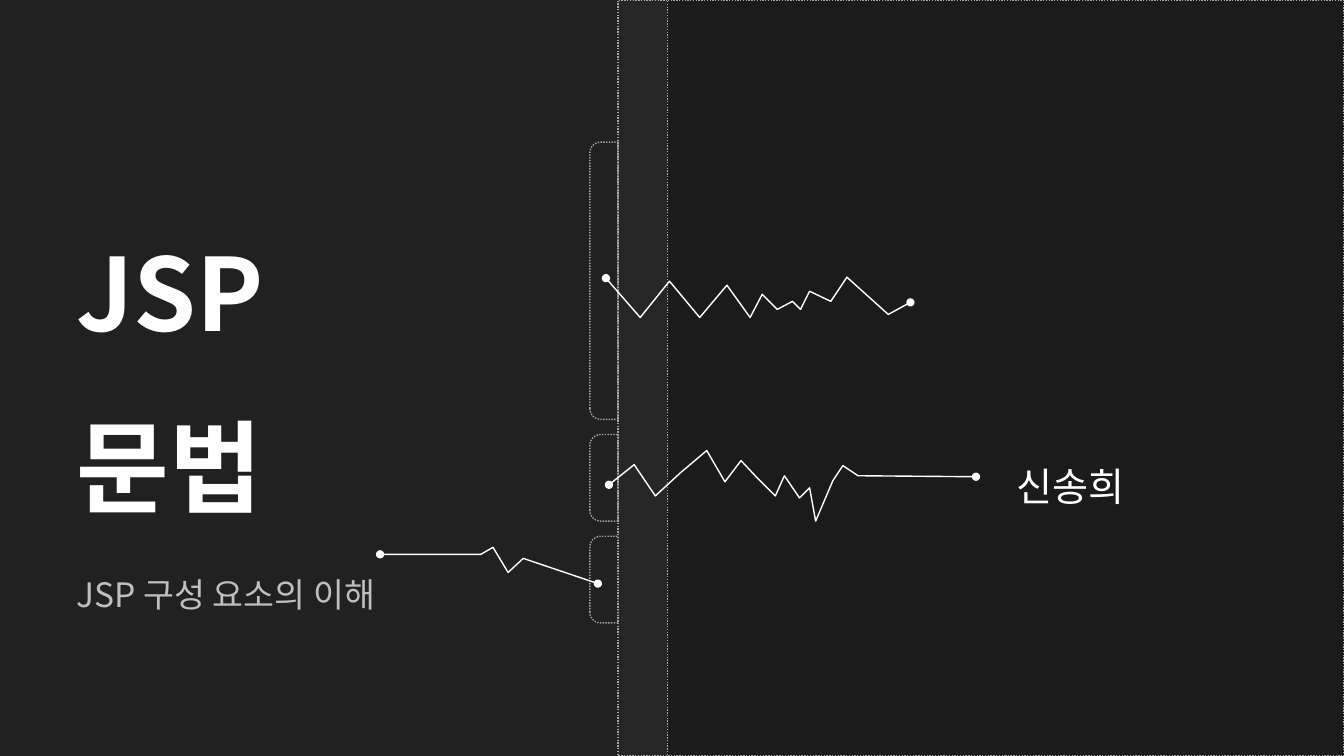
from typing import NamedTuple

from lxml.etree import SubElement
from pptx import Presentation
from pptx.dml.color import RGBColor
from pptx.enum.dml import MSO_LINE
from pptx.enum.shapes import MSO_SHAPE
from pptx.enum.text import MSO_ANCHOR, MSO_AUTO_SIZE, PP_ALIGN
from pptx.oxml.ns import qn
from pptx.util import Emu, Inches, Pt

# One grid column or row is one inch.
COLUMNS, ROWS = 13.33, 7.5
SPINE_LEFT, COVER_LEFT = 6.13, 6.62
TAB_WIDTH, TAB_GAP, TAB_TOP = 0.28, 0.15, 1.41
TAB_HEIGHTS = (2.75, 0.86, 0.86)

FONT = "Noto Sans CJK KR"
BACKDROP = RGBColor(0x21, 0x21, 0x21)
SPINE = RGBColor(0x26, 0x26, 0x26)
COVER = RGBColor(0x1B, 0x1B, 0x1B)
OUTLINE = RGBColor(0xA6, 0xA6, 0xA6)
WHITE = RGBColor(0xFF, 0xFF, 0xFF)
SOFT_GREY = RGBColor(0xBF, 0xBF, 0xBF)


class Panel(NamedTuple):
    """A full-height panel running to the right edge."""
    left: float
    color: RGBColor


class Style(NamedTuple):
    """The look of one paragraph; sizes and spacing in points."""
    size: float
    color: RGBColor
    bold: bool
    line: float
    before: float = 0


PANELS = {"spine": Panel(SPINE_LEFT, SPINE), "cover": Panel(COVER_LEFT, COVER)}
TITLE_STYLE = Style(72, WHITE, True, 124)
SUBTITLE_STYLE = Style(24, SOFT_GREY, False, 41, 22)
AUTHOR_STYLE = Style(28, WHITE, False, 50)

UPPER_PULSE = (
    (6.01, 2.76), (6.35, 3.15), (6.64, 2.79), (6.94, 3.15), (7.21, 2.83),
    (7.44, 3.15), (7.56, 2.92), (7.71, 3.07), (7.86, 2.99), (7.94, 3.07),
    (8.03, 2.89), (8.24, 2.99), (8.4, 2.75), (8.81, 3.12), (9.03, 3),
)
AUTHOR_PULSE = (
    (6.04, 4.81), (6.29, 4.61), (6.5, 4.92), (6.75, 4.69), (7.01, 4.47),
    (7.19, 4.78), (7.35, 4.57), (7.5, 4.73), (7.69, 4.92), (7.78, 4.72),
    (7.93, 4.94), (8.03, 4.84), (8.09, 5.17), (8.26, 4.77), (8.36, 4.62),
    (8.51, 4.72), (9.68, 4.73),
)
SUBTITLE_PULSE = (
    (3.77, 5.5), (4.77, 5.5), (4.89, 5.43), (5.04, 5.68), (5.19, 5.54),
    (5.93, 5.79),
)


def place(shape, left: float, top: float, width: float, height: float) -> None:
    """Move and size a shape on the grid."""
    shape.left, shape.top = Inches(left), Inches(top)
    shape.width, shape.height = Inches(width), Inches(height)


def outline(shape, color: RGBColor) -> None:
    """Give a shape a one-point line and no shadow."""
    shape.shadow.inherit = False
    shape.line.color.rgb = color
    shape.line.width = Pt(1)


def draw_panel(slide, panel: Panel) -> None:
    """Draw a dotted panel from its left edge to the slide's right edge."""
    rect = slide.shapes.add_shape(MSO_SHAPE.RECTANGLE, 0, 0, 0, 0)
    place(rect, panel.left, 0, COLUMNS - panel.left, ROWS)
    rect.fill.solid()
    rect.fill.fore_color.rgb = panel.color
    outline(rect, OUTLINE)
    rect.line.dash_style = MSO_LINE.ROUND_DOT


def draw_tab(slide, top: float, height: float) -> None:
    """Draw an index tab turned to the left of the spine."""
    tab = slide.shapes.add_shape(MSO_SHAPE.ROUND_2_SAME_RECTANGLE, 0, 0, 0, 0)
    center_x, center_y = SPINE_LEFT - TAB_WIDTH / 2, top + height / 2
    place(tab, center_x - height / 2, center_y - TAB_WIDTH / 2, height, TAB_WIDTH)
    tab.rotation = 270
    tab.adjustments[0] = 0.385
    tab.adjustments[1] = 0
    tab.fill.background()
    outline(tab, OUTLINE)
    tab.line.dash_style = MSO_LINE.ROUND_DOT


def draw_pulse(slide, points: tuple) -> None:
    """Draw an open zigzag with a dot at each end."""
    start, *others = [(Inches(x), Inches(y)) for x, y in points]
    builder = slide.shapes.build_freeform(*start)
    builder.add_line_segments(others, close=False)
    pulse = builder.convert_to_shape(Emu(0), Emu(0))
    pulse.fill.background()
    outline(pulse, WHITE)
    line = pulse.line._get_or_add_ln()
    for end in ("a:headEnd", "a:tailEnd"):
        SubElement(line, qn(end), type="oval")


def style_paragraph(paragraph, style: Style) -> None:
    """Apply spacing and Latin and East Asian fonts to a paragraph."""
    paragraph.alignment = PP_ALIGN.LEFT
    paragraph.line_spacing = Pt(style.line)
    paragraph.space_before = Pt(style.before)
    for run in paragraph.runs:
        run.font.name = FONT
        run.font.size = Pt(style.size)
        run.font.bold = style.bold
        run.font.color.rgb = style.color
        SubElement(run.font._element, qn("a:ea"), typeface=FONT)


def write_title(slide) -> None:
    """Fill the title placeholder with the heading and its subtitle."""
    title = slide.shapes.title
    place(title, 0.66, 1.23, 4.3, 3.2)
    frame = title.text_frame
    frame.word_wrap = True
    frame.auto_size = MSO_AUTO_SIZE.SHAPE_TO_FIT_TEXT
    frame.vertical_anchor = MSO_ANCHOR.TOP
    frame.margin_top = Inches(0.54)
    frame.margin_right = Inches(0.7)
    frame.text = "JSP 문법\nJSP 구성 요소의 이해"
    for paragraph, style in zip(frame.paragraphs, (TITLE_STYLE, SUBTITLE_STYLE)):
        style_paragraph(paragraph, style)


def write_author(slide) -> None:
    """Write the author's name beside the end of its pulse."""
    author = slide.shapes.add_textbox(0, 0, 0, 0)
    place(author, 9.98, 4.31, 1.38, 0.72)
    frame = author.text_frame
    frame.word_wrap = False
    frame.text = "신송희"
    style_paragraph(frame.paragraphs[0], AUTHOR_STYLE)


def main() -> None:
    """Build the cover slide and save it."""
    deck = Presentation()
    deck.slide_width, deck.slide_height = Inches(COLUMNS), Inches(ROWS)
    slide = deck.slides.add_slide(deck.slide_layouts[5])
    slide.background.fill.solid()
    slide.background.fill.fore_color.rgb = BACKDROP

    write_title(slide)
    draw_panel(slide, PANELS["spine"])
    tab_top = TAB_TOP
    for height in TAB_HEIGHTS:
        draw_tab(slide, tab_top, height)
        tab_top += height + TAB_GAP
    draw_panel(slide, PANELS["cover"])
    draw_pulse(slide, UPPER_PULSE)
    draw_pulse(slide, AUTHOR_PULSE)
    write_author(slide)
    draw_pulse(slide, SUBTITLE_PULSE)
    deck.save("out.pptx")


main()
